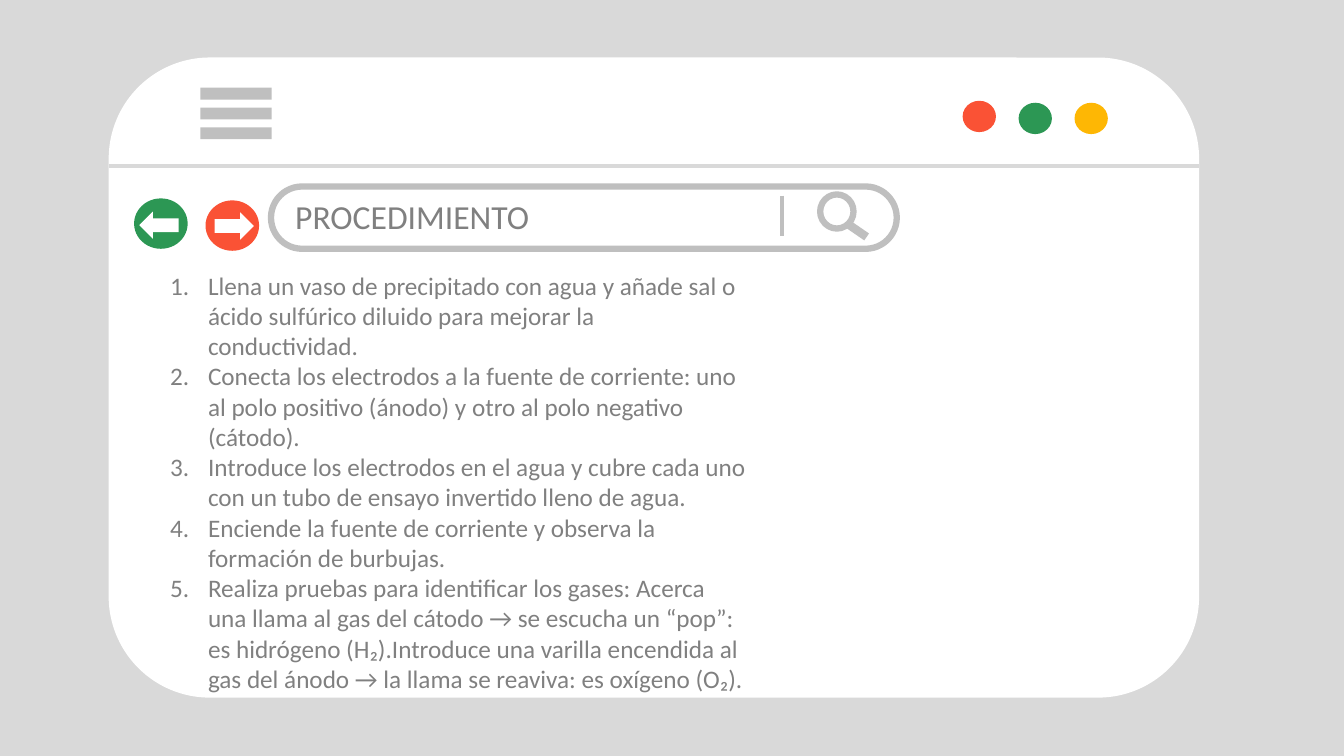
from lxml import etree
from pptx import Presentation
from pptx.dml.color import RGBColor
from pptx.enum.shapes import MSO_CONNECTOR, MSO_SHAPE
from pptx.oxml.ns import qn
from pptx.util import Cm, Pt

RECT = MSO_SHAPE.RECTANGLE
ROUNDED = MSO_SHAPE.ROUNDED_RECTANGLE
OVAL = MSO_SHAPE.OVAL
ARROW = MSO_SHAPE.RIGHT_ARROW
STRAIGHT = MSO_CONNECTOR.STRAIGHT

COLORS = {
    "background": "D9D9D9",
    "window": "FFFFFF",
    "control": "BFBFBF",
    "text": "808080",
    "red": "FA5235",
    "green": "2C9754",
    "yellow": "FEB704",
}
FONT = "Calibri"

TITLE = "PROCEDIMIENTO"
STEPS = [
    "Llena un vaso de precipitado con agua y añade sal o ácido sulfúrico diluido "
    "para mejorar la conductividad.",
    "Conecta los electrodos a la fuente de corriente: uno al polo positivo (ánodo) "
    "y otro al polo negativo (cátodo).",
    "Introduce los electrodos en el agua y cubre cada uno con un tubo de ensayo "
    "invertido lleno de agua.",
    "Enciende la fuente de corriente y observa la formación de burbujas.",
    "Realiza pruebas para identificar los gases: Acerca una llama al gas del cátodo "
    "→ se escucha un “pop”: es hidrógeno (H₂).Introduce una varilla encendida al gas "
    "del ánodo → la llama se reaviva: es oxígeno (O₂).",
]


def color(name):
    return RGBColor.from_string(COLORS[name])


def add_filled(slide, kind, left, top, width, height, fill):
    shape = slide.shapes.add_shape(kind, Cm(left), Cm(top), Cm(width), Cm(height))
    shape.shadow.inherit = False
    shape.fill.solid()
    shape.fill.fore_color.rgb = color(fill)
    shape.line.fill.background()
    return shape


def add_outlined(slide, kind, left, top, width, height, line, weight):
    shape = slide.shapes.add_shape(kind, Cm(left), Cm(top), Cm(width), Cm(height))
    shape.shadow.inherit = False
    shape.fill.background()
    shape.line.color.rgb = color(line)
    shape.line.width = Pt(weight)
    return shape


def add_line(slide, x1, y1, x2, y2, line, weight):
    connector = slide.shapes.add_connector(STRAIGHT, Cm(x1), Cm(y1), Cm(x2), Cm(y2))
    connector.line.color.rgb = color(line)
    connector.line.width = Pt(weight)
    etree.SubElement(connector._element.spPr, qn("a:effectLst"))


def add_text(slide, left, top, width, height, paragraphs, size):
    box = slide.shapes.add_textbox(Cm(left), Cm(top), Cm(width), Cm(height))
    frame = box.text_frame
    frame.word_wrap = True
    for index, text in enumerate(paragraphs):
        paragraph = frame.add_paragraph() if index else frame.paragraphs[0]
        run = paragraph.add_run()
        run.text = text
        run.font.name = FONT
        run.font.size = Pt(size)
        run.font.color.rgb = color("text")
    return frame


def draw_window(slide, left, top, width, height):
    frame = add_filled(slide, ROUNDED, left, top, width, height, "window")
    frame.adjustments[0] = 0.158
    add_line(slide, left, top + 2.74, left + width, top + 2.74, "background", 3)

    # Menu icon
    for bar in range(3):
        add_filled(slide, RECT, left + 2.31, top + 0.76 + 0.5 * bar, 1.8, 0.3, "control")

    # Window buttons
    dots = [("red", 1.09), ("green", 1.14), ("yellow", 1.14)]
    for index, (fill, drop) in enumerate(dots):
        add_filled(slide, OVAL, left + 21.52 + 1.41 * index, top + drop, 0.84, 0.79, fill)


def draw_nav_button(slide, left, top, width, height, fill, arrow_offset, rotation):
    add_filled(slide, OVAL, left, top, width, height, fill)
    dx, dy = arrow_offset
    arrow = add_filled(slide, ARROW, left + dx, top + dy, 0.99, 0.69, "window")
    arrow.rotation = rotation


def draw_search_bar(slide, left, top, width, height):
    bar = add_outlined(slide, ROUNDED, left, top, width, height, "control", 4.5)
    bar.adjustments[0] = 0.5
    add_text(slide, left + 0.36, top + 0.1, 10.39, 1.27, [TITLE], 24)

    # Cursor and magnifying glass
    add_line(slide, left + 12.88, top + 0.23, left + 12.88, top + 1.24, "control", 3)
    add_line(slide, left + 14.53, top + 0.94, left + 15.01, top + 1.27, "control", 6)
    add_outlined(slide, OVAL, left + 13.84, top + 0.2, 0.84, 0.86, "control", 4.5)


def draw_steps(slide, left, top, width, height):
    frame = add_text(slide, left, top, width, height, STEPS, 18)
    for paragraph in frame.paragraphs:
        properties = paragraph._p.get_or_add_pPr()
        properties.set("marL", str(Pt(27)))
        properties.set("indent", str(-Pt(27)))
        etree.SubElement(properties, qn("a:buFont"), typeface="+mj-lt")
        etree.SubElement(properties, qn("a:buAutoNum"), type="arabicPeriod")


def main():
    presentation = Presentation()
    presentation.slide_width = Cm(33.87)
    presentation.slide_height = Cm(19.05)
    slide = presentation.slides.add_slide(presentation.slide_layouts[6])
    slide.background.fill.solid()
    slide.background.fill.fore_color.rgb = color("background")

    draw_window(slide, 2.74, 1.45, 27.48, 16.13)
    draw_steps(slide, 4.04, 6.68, 15.09, 11.02)
    draw_nav_button(slide, 5.18, 5.05, 1.35, 1.27, "red", (0.23, 0.3), 0)
    draw_nav_button(slide, 3.38, 5, 1.35, 1.27, "green", (0.13, 0.33), 180)
    draw_search_bar(slide, 6.83, 4.7, 15.77, 1.57)

    presentation.save("out.pptx")


if __name__ == "__main__":
    main()
